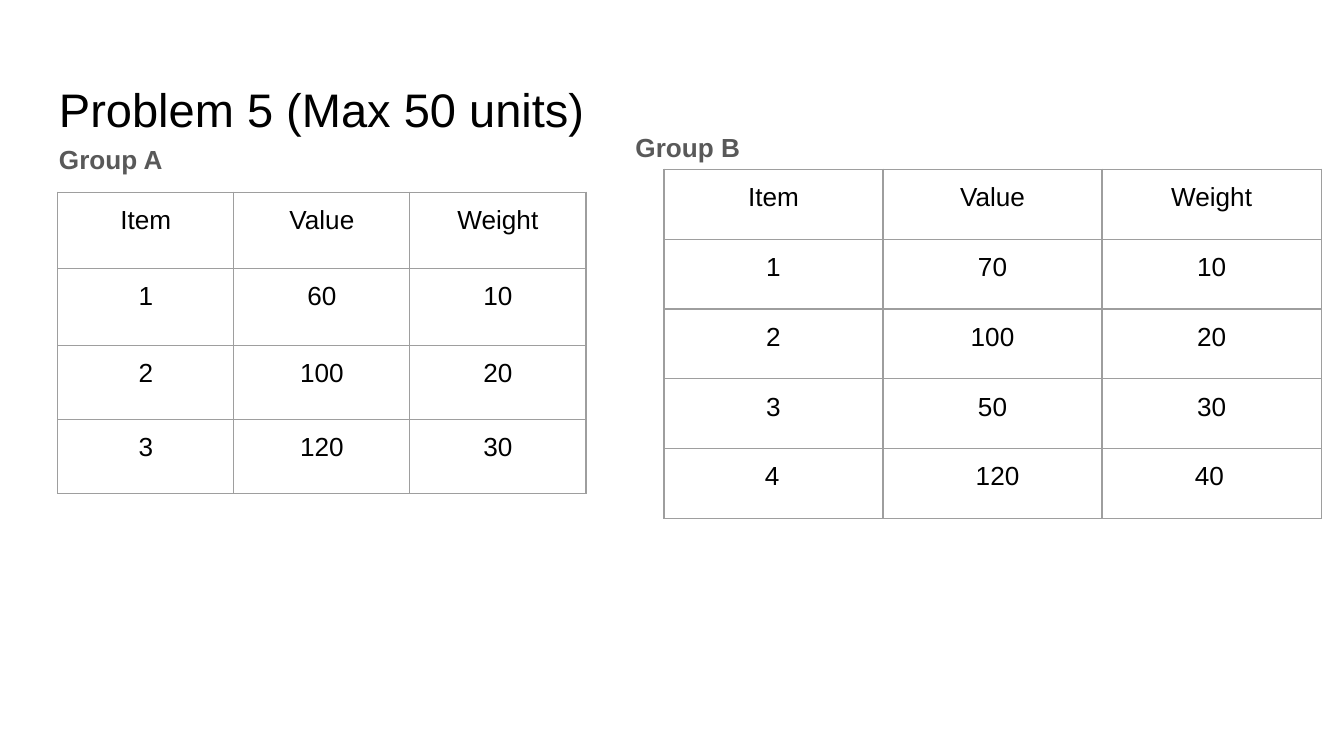
import pptx
import pptx.dml.color
import pptx.enum.text
import pptx.oxml
import pptx.oxml.ns
import pptx.util

PX = pptx.util.Inches(1) // 100
BLACK = pptx.dml.color.RGBColor(0x00, 0x00, 0x00)
GRAY = pptx.dml.color.RGBColor(0x59, 0x59, 0x59)
BORDER = pptx.dml.color.RGBColor(0x9E, 0x9E, 0x9E)
INSET = 10
CENTER = pptx.enum.text.PP_ALIGN.CENTER
LEFT = pptx.enum.text.PP_ALIGN.LEFT

HEADER = ["Item", "Value", "Weight"]
GROUP_A = [HEADER, ["1", "60", "10"], ["2", "100", "20"], ["3", "120", "30"]]
GROUP_B = [HEADER, ["1", "70", "10"], ["2", "100", "20"], ["3", "50", "30"], ["4", "120", "40"]]


def format_text(paragraph, size, color, bold=False):
    """Set the font of every run in a paragraph."""
    for run in paragraph.runs:
        run.font.name = "Arial"
        run.font.size = pptx.util.Pt(size)
        run.font.bold = bold
        run.font.color.rgb = color


def set_insets(target, left=INSET):
    """Set the inner margins of a text frame or table cell."""
    target.margin_left = left * PX
    target.margin_right = target.margin_top = target.margin_bottom = INSET * PX


def add_text(slide, box, text, size, color, bold=False):
    """Add a wrapped text box and return its text frame."""
    shape = slide.shapes.add_textbox(*(length * PX for length in box))
    text_frame = shape.text_frame
    text_frame.word_wrap = True
    set_insets(text_frame)
    text_frame.text = text
    format_text(text_frame.paragraphs[0], size, color, bold)
    return text_frame


def add_title(slide, box, text):
    """Add the slide title at the bottom of its box."""
    text_frame = add_text(slide, box, text, 25.2, BLACK)
    text_frame.vertical_anchor = pptx.enum.text.MSO_ANCHOR.BOTTOM


def add_group_label(slide, box, text):
    """Add the bold heading of a group."""
    paragraph = add_text(slide, box, text, 14, GRAY, True).paragraphs[0]
    paragraph.line_spacing = 1.15
    paragraph.space_after = pptx.util.Pt(12)


def add_borders(cell):
    """Draw a thin line on all four sides of a cell."""
    properties = cell._tc.get_or_add_tcPr()
    for position, side in enumerate(("lnL", "lnR", "lnT", "lnB")):
        line = pptx.oxml.parse_xml(
            f'<a:{side} {pptx.oxml.ns.nsdecls("a")} w="{pptx.util.Pt(0.75)}">'
            f'<a:solidFill><a:srgbClr val="{BORDER}"/></a:solidFill></a:{side}>'
        )
        properties.insert(position, line)


def add_item_table(slide, left, top, column_width, row_heights, rows, last_row_indents=None):
    """Add a grid of items, optionally left-aligning the last row at given indents."""
    shape = slide.shapes.add_table(
        len(rows), len(HEADER), left * PX, top * PX,
        column_width * len(HEADER) * PX, sum(row_heights) * PX,
    )
    table = shape.table
    table.first_row = table.horz_banding = False
    for column in table.columns:
        column.width = column_width * PX
    for row_index, (height, values) in enumerate(zip(row_heights, rows)):
        table.rows[row_index].height = height * PX
        indented = last_row_indents and row_index == len(rows) - 1
        for column_index, value in enumerate(values):
            cell = table.cell(row_index, column_index)
            cell.fill.background()
            add_borders(cell)
            set_insets(cell, last_row_indents[column_index] if indented else INSET)
            cell.text_frame.text = value
            paragraph = cell.text_frame.paragraphs[0]
            paragraph.alignment = LEFT if indented else CENTER
            format_text(paragraph, 14, BLACK)


def main():
    """Build the slide and save it."""
    presentation = pptx.Presentation()
    presentation.slide_width = 1000 * PX
    presentation.slide_height = pptx.util.Inches(5.625)
    slide = presentation.slides.add_slide(presentation.slide_layouts[6])
    add_title(slide, (34, 49, 932, 63), "Problem 5 (Max 50 units)")
    add_group_label(slide, (34, 93, 437, 406), "Group A")
    add_group_label(slide, (463, 84, 537, 416), "Group B")
    add_item_table(slide, 43, 143, 131, [57, 57, 55, 55], GROUP_A)
    add_item_table(slide, 494, 126, 163, [52] * len(GROUP_B), GROUP_B, [75, 69, 69])
    presentation.save("out.pptx")


if __name__ == "__main__":
    main()
